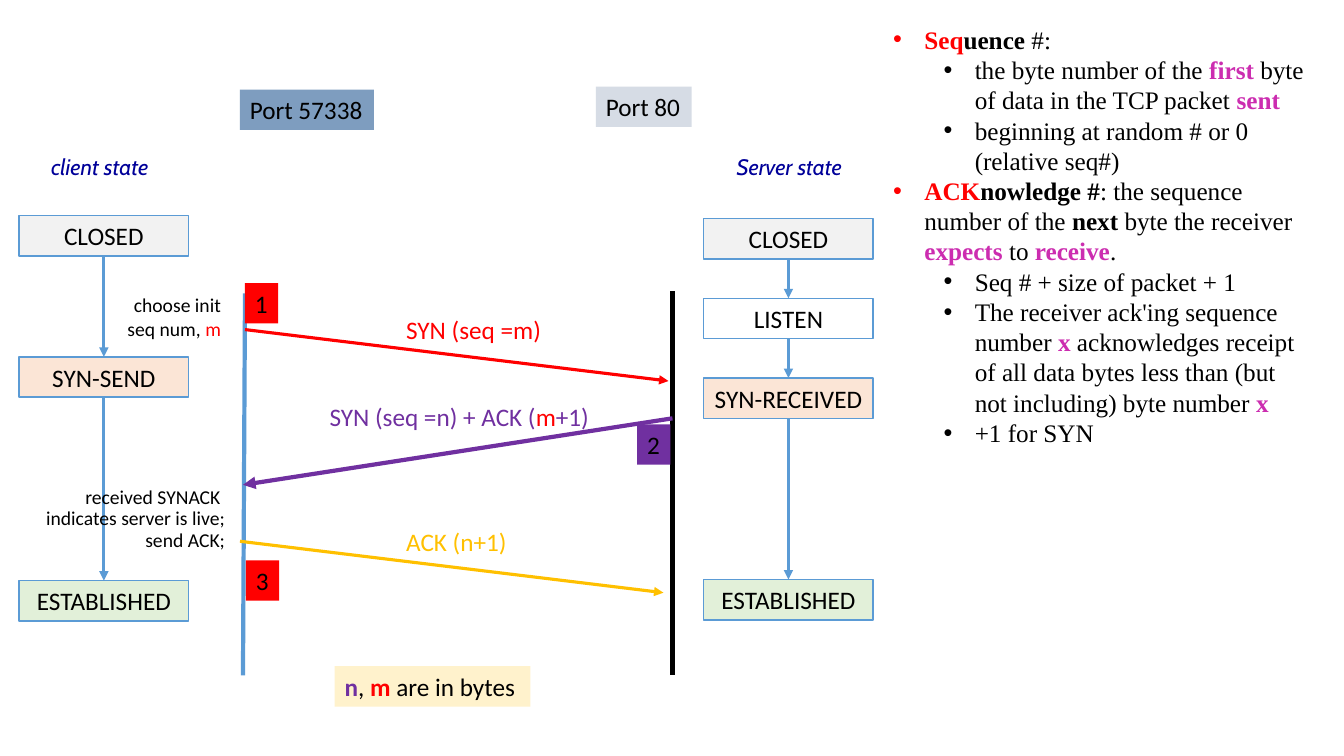
from lxml import etree
from pptx import Presentation
from pptx.dml.color import RGBColor
from pptx.enum import shapes, text
from pptx.oxml import ns
from pptx.util import Inches, Pt

BLACK = RGBColor(0x00, 0x00, 0x00)
WHITE = RGBColor(0xFF, 0xFF, 0xFF)
RED = RGBColor(0xFF, 0x00, 0x00)
PURPLE = RGBColor(0x70, 0x30, 0xA0)
GOLD = RGBColor(0xFF, 0xC0, 0x00)
BLUE = RGBColor(0x5B, 0x9B, 0xD5)
NAVY = RGBColor(0x00, 0x00, 0x99)
PINK = RGBColor(0xCC, 0x2D, 0xB0)
GREY = RGBColor(0xF2, 0xF2, 0xF2)
PEACH = RGBColor(0xFB, 0xE5, 0xD6)
GREEN = RGBColor(0xE2, 0xF0, 0xD9)
STEEL = RGBColor(0x7E, 0x9D, 0xBF)
MIST = RGBColor(0xD6, 0xDC, 0xE5)
CREAM = RGBColor(0xFF, 0xF2, 0xCC)

LEFT, MID, RIGHT = text.PP_ALIGN.LEFT, text.PP_ALIGN.CENTER, text.PP_ALIGN.RIGHT
ROW = 0.4      # height of a one-line box
STATE = 1.68   # width of a state box

# start, end, colour, width
LIFELINES = [
    ((2.43, 2.91), (2.41, 6.7), BLUE, 3),
    ((6.67, 2.89), (6.67, 6.7), BLACK, 3),
]
MESSAGES = [
    ((2.43, 3.27), (6.63, 3.78), RED, 2.25),
    ((6.67, 4.15), (2.41, 4.81), PURPLE, 3),
    ((2.38, 5.37), (6.58, 5.88), GOLD, 2.25),
]

# left edge, then (name, top, fill) from first state to last
STATES = [
    (0.19, [("CLOSED", 2.14, GREY), ("SYN-SEND", 3.54, PEACH),
            ("ESTABLISHED", 5.76, GREEN)]),
    (6.98, [("CLOSED", 2.17, GREY), ("LISTEN", 2.96, WHITE),
            ("SYN-RECEIVED", 3.75, PEACH), ("ESTABLISHED", 5.75, GREEN)]),
]

# left, top, width, fill, runs of (words, colour, bold)
LABELS = [
    (3.93, 3.07, 1.56, None, [("SYN (seq =m)", RED, False)]),
    (3.17, 3.93, 2.81, None, [("SYN (seq =n) + ACK (", PURPLE, False),
                              ("m", RED, False), ("+1)", PURPLE, False)]),
    (3.93, 5.17, 1.21, None, [("ACK (n+1)", GOLD, False)]),
    (2.38, 0.89, 1.33, STEEL, [("Port 57338", BLACK, False)]),
    (5.91, 0.86, 0.95, MIST, [("Port 80", BLACK, False)]),
    (3.32, 6.61, 1.94, CREAM, [("n", PURPLE, True), (", ", BLACK, False),
                               ("m", RED, True), (" are in bytes", BLACK, False)]),
    (2.43, 2.81, 0.33, RED, [("1", BLACK, False)]),
    (6.32, 4.21, 0.33, PURPLE, [("2", BLACK, False)]),
    (2.44, 5.56, 0.33, RED, [("3", BLACK, False)]),
]

HEADS = [("client state", 0.29, 1.28), ("Server state", 7.06, 1.39)]
CHOOSE = [[("choose init seq num, ", BLACK, False), ("m", RED, False)]]
REPLY = [[(line, BLACK, False)] for line in
         ("received SYNACK ", "indicates server is live;", "send ACK;")]

# level, runs
POINTS = [
    (0, [("Seq", RED, True), ("uence", BLACK, True), (" #:", BLACK, False)]),
    (1, [("the byte number of the ", BLACK, False), ("first", PINK, True),
         (" byte of data in the TCP packet ", BLACK, False), ("sent", PINK, True)]),
    (1, [("beginning at random # or 0 (relative seq#)", BLACK, False)]),
    (0, [("ACK", RED, True), ("nowledge #", BLACK, True),
         (": the sequence number of the ", BLACK, False), ("next", BLACK, True),
         (" byte the receiver ", BLACK, False), ("expects", PINK, True),
         (" to ", BLACK, False), ("receive", PINK, True), (".", BLACK, False)]),
    (1, [("Seq # + size of packet + 1", BLACK, False)]),
    (1, [("The receiver ack'ing sequence number ", BLACK, False), ("x", PINK, True),
         (" acknowledges receipt of all data bytes less than (but not including)"
          " byte number ", BLACK, False), ("x", PINK, True)]),
    (1, [("+1 for SYN", BLACK, False)]),
]

deck = Presentation()
deck.slide_width, deck.slide_height = Inches(13.33), Inches(7.5)
slide = deck.slides.add_slide(deck.slide_layouts[6])


def draw_line(start, end, colour, width, arrow=True):
    line = slide.shapes.add_connector(
        shapes.MSO_CONNECTOR.STRAIGHT, *(Inches(n) for n in start + end))
    line.line.color.rgb = colour
    line.line.width = Pt(width)
    if arrow:
        tail = etree.SubElement(line.line._get_or_add_ln(), ns.qn("a:tailEnd"))
        tail.set("type", "triangle")
    etree.SubElement(line._element.spPr, ns.qn("a:effectLst"))
    return line


def write(shape, paras, size=18, font="Calibri", align=LEFT, wrap=False, italic=False):
    """Fill a shape with paragraphs, each a list of (words, colour, bold)."""
    frame = shape.text_frame
    frame.word_wrap = wrap
    for i, runs in enumerate(paras):
        para = frame.paragraphs[0] if i == 0 else frame.add_paragraph()
        para.alignment = align
        for words, colour, bold in runs:
            run = para.add_run()
            run.text = words
            run.font.size, run.font.name = Pt(size), font
            run.font.bold, run.font.italic = bold, italic
            run.font.color.rgb = colour
    return frame


def add_box(left, top, width, height=ROW, fill=None, edge=None):
    """Add a text box, or a rectangle when there is a fill."""
    place = [Inches(n) for n in (left, top, width, height)]
    if fill is None:
        return slide.shapes.add_textbox(*place)
    box = slide.shapes.add_shape(shapes.MSO_SHAPE.RECTANGLE, *place)
    box.shadow.inherit = False
    box.fill.solid()
    box.fill.fore_color.rgb = fill
    if edge is None:
        box.line.fill.background()
    else:
        box.line.color.rgb = edge
        box.line.width = Pt(1)
    return box


def add_bullet(para, level):
    para.level = level
    props = para._p.get_or_add_pPr()
    props.set("marL", str(Inches(0.31 + 0.5 * level)))
    props.set("indent", str(Inches(-0.31)))
    font = etree.SubElement(props, ns.qn("a:buFont"))
    font.set("typeface", "Arial")
    etree.SubElement(props, ns.qn("a:buChar")).set("char", "•")


for line in LIFELINES:
    draw_line(*line, arrow=False)
for line in MESSAGES:
    draw_line(*line)

for left, states in STATES:
    axis = left + STATE / 2
    last = None
    for name, top, fill in states:
        box = add_box(left, top, STATE, fill=fill, edge=BLUE)
        write(box, [[(name, BLACK, False)]], align=MID)
        if last is not None:
            step = draw_line((axis, top - 0.3), (axis, top), BLUE, 2.25)
            step.begin_connect(last, 2)
            step.end_connect(box, 0)
        last = box

for left, top, width, fill, runs in LABELS:
    write(add_box(left, top, width, fill=fill), [runs])

for name, left, width in HEADS:
    write(add_box(left, 1.47, width, 0.37), [[(name, NAVY, False)]],
          16, "Cabin", RIGHT, italic=True)

write(add_box(1.14, 2.86, 1.15, 0.57), CHOOSE, 14, align=RIGHT, wrap=True)
reply = write(add_box(0.24, 4.79, 2.09, 0.74), REPLY, 14, align=RIGHT, wrap=True)
for para in reply.paragraphs:
    para.line_spacing = 0.9

points = write(add_box(8.76, 0.19, 4.33, 4.34), [runs for _, runs in POINTS],
               font="Times New Roman", wrap=True)
for para, (level, _) in zip(points.paragraphs, POINTS):
    add_bullet(para, level)

deck.save("out.pptx")
